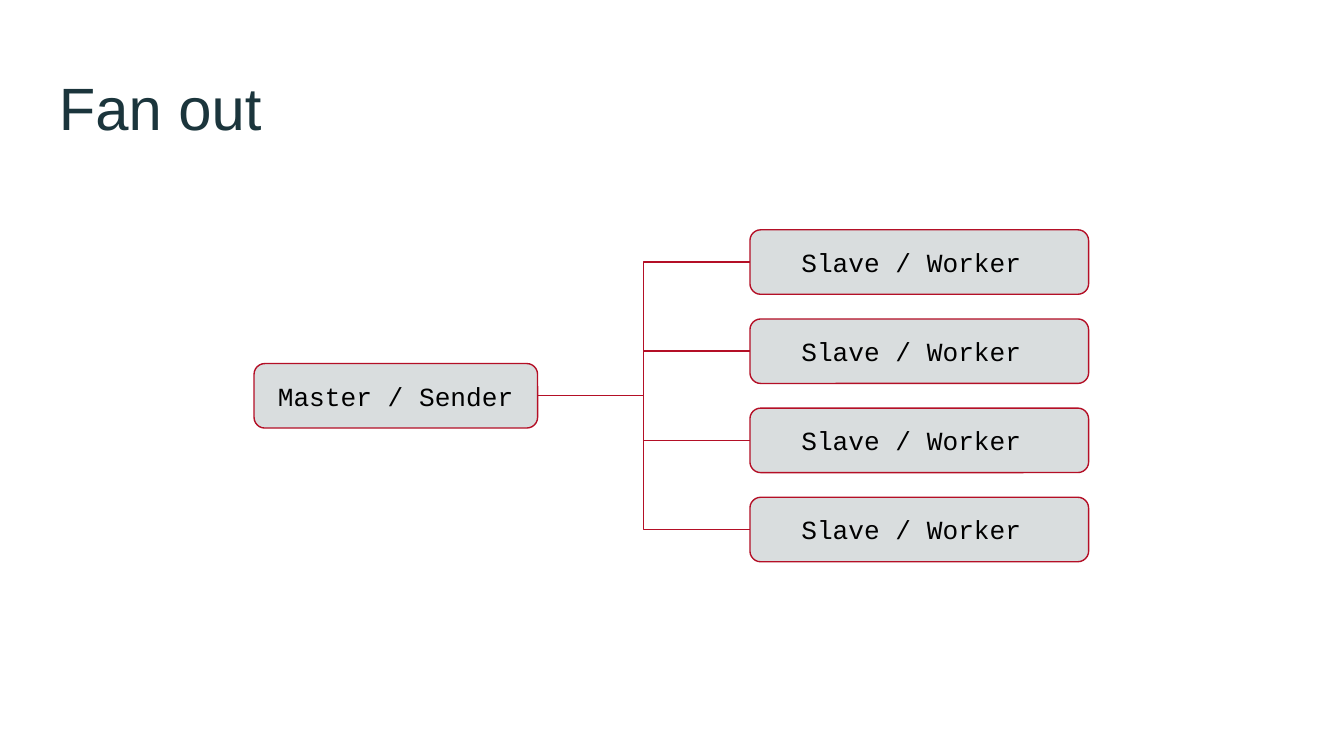
from dataclasses import dataclass

import pptx
import pptx.dml.color
import pptx.enum.shapes
import pptx.enum.text
import pptx.oxml.ns
import pptx.shapes.autoshape
import pptx.shapes.connector
import pptx.slide
import pptx.text.text
import pptx.util
from lxml import etree

Inches = pptx.util.Inches
COLORS = {"title": "1B353C", "fill": "D9DDDE", "line": "B40F26", "text": "000000"}
SLIDE_WIDTH = 10
SLIDE_HEIGHT = SLIDE_WIDTH * 9 / 16
BOX_HEIGHT = 0.48
WORKER_COUNT = 4
FIRST_TOP, LAST_TOP = 1.71, 3.70
RIGHT_SITE, LEFT_SITE = 3, 1


@dataclass
class Node:
    label: str
    left: float
    top: float
    width: float


def rgb(name: str) -> pptx.dml.color.RGBColor:
    return pptx.dml.color.RGBColor.from_string(COLORS[name])


def set_text(tf: pptx.text.text.TextFrame, text: str, font: str, size: int, color: str) -> None:
    tf.text = text
    tf.word_wrap = True
    tf.margin_left = tf.margin_right = tf.margin_top = tf.margin_bottom = Inches(0.1)
    r = tf.paragraphs[0].runs[0]
    r.font.name = font
    r.font.size = pptx.util.Pt(size)
    r.font.color.rgb = rgb(color)


def add_title(s: pptx.slide.Slide, text: str) -> None:
    tf = s.shapes.add_textbox(Inches(0.34), Inches(0.49), Inches(9.32), Inches(0.63)).text_frame
    set_text(tf, text, "Arial", 32, "title")
    tf.paragraphs[0].line_spacing = 0.9


def add_node(s: pptx.slide.Slide, node: Node) -> pptx.shapes.autoshape.Shape:
    sp = s.shapes.add_shape(
        pptx.enum.shapes.MSO_SHAPE.ROUNDED_RECTANGLE,
        Inches(node.left), Inches(node.top), Inches(node.width), Inches(BOX_HEIGHT),
    )
    sp.shadow.inherit = False
    sp.fill.solid()
    sp.fill.fore_color.rgb = rgb("fill")
    sp.line.color.rgb = rgb("line")
    sp.line.width = pptx.util.Pt(0.75)
    tf = sp.text_frame
    set_text(tf, node.label, "Courier New", 14, "text")
    tf.vertical_anchor = pptx.enum.text.MSO_ANCHOR.MIDDLE
    tf.paragraphs[0].alignment = pptx.enum.text.PP_ALIGN.CENTER
    return sp


def connect(
    s: pptx.slide.Slide,
    sender: pptx.shapes.autoshape.Shape,
    worker: pptx.shapes.autoshape.Shape,
) -> pptx.shapes.connector.Connector:
    line = s.shapes.add_connector(pptx.enum.shapes.MSO_CONNECTOR.ELBOW, 0, 0, 0, 0)
    line.begin_connect(sender, RIGHT_SITE)
    line.end_connect(worker, LEFT_SITE)
    line.line.color.rgb = rgb("line")
    line.line.width = pptx.util.Pt(0.75)
    etree.SubElement(line._element.spPr, pptx.oxml.ns.qn("a:effectLst"))
    return line


def main() -> None:
    prs = pptx.Presentation()
    prs.slide_width, prs.slide_height = Inches(SLIDE_WIDTH), Inches(SLIDE_HEIGHT)
    s = prs.slides.add_slide(prs.slide_layouts[6])
    add_title(s, "Fan out")

    middle = (FIRST_TOP + LAST_TOP) / 2
    sender = add_node(s, Node("Master / Sender ", 1.89, middle, 2.11))
    pitch = (LAST_TOP - FIRST_TOP) / (WORKER_COUNT - 1)
    for i in range(WORKER_COUNT):
        worker = add_node(s, Node("Slave / Worker ", 5.58, FIRST_TOP + i * pitch, 2.52))
        connect(s, sender, worker)

    prs.save("out.pptx")


if __name__ == "__main__":
    main()
